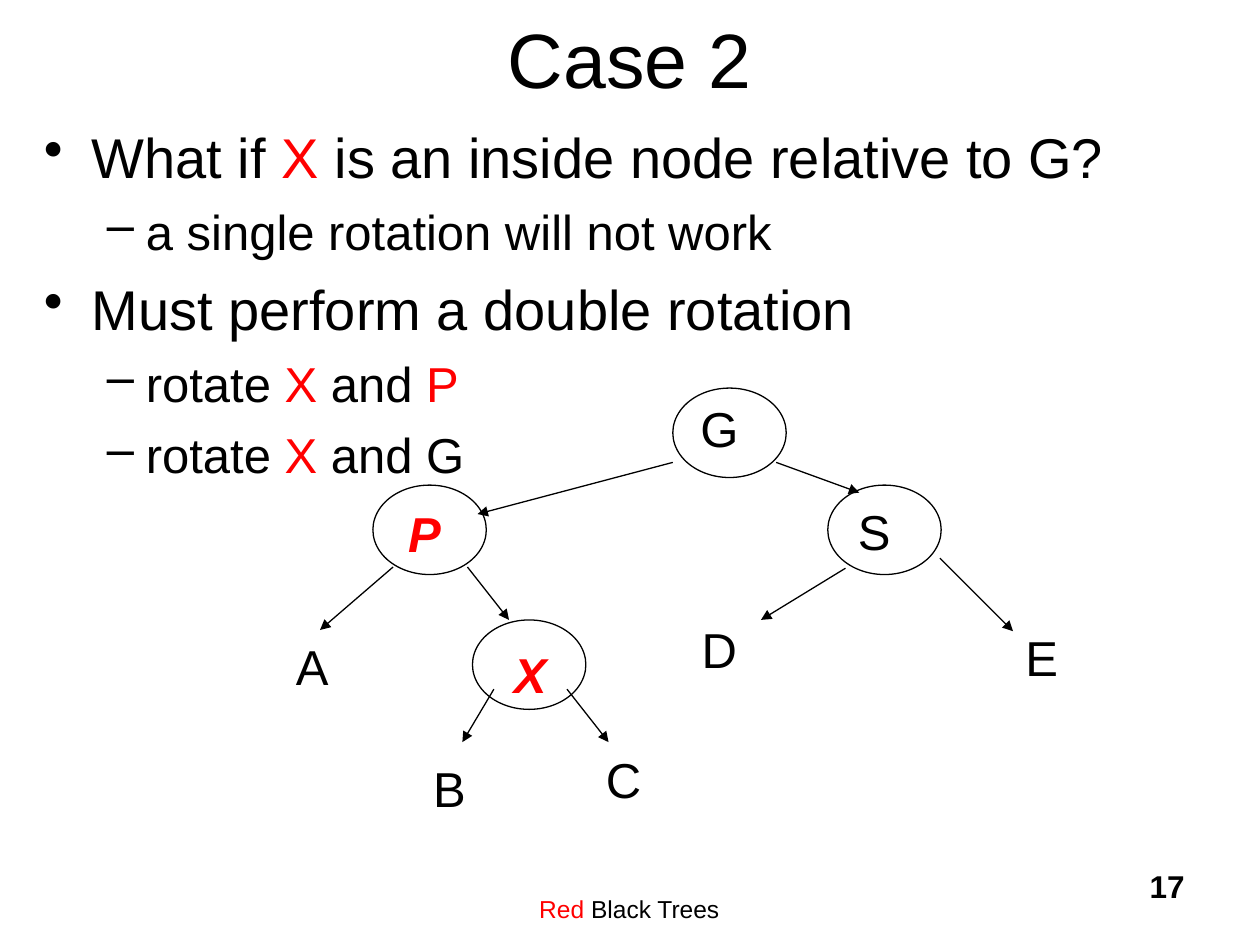
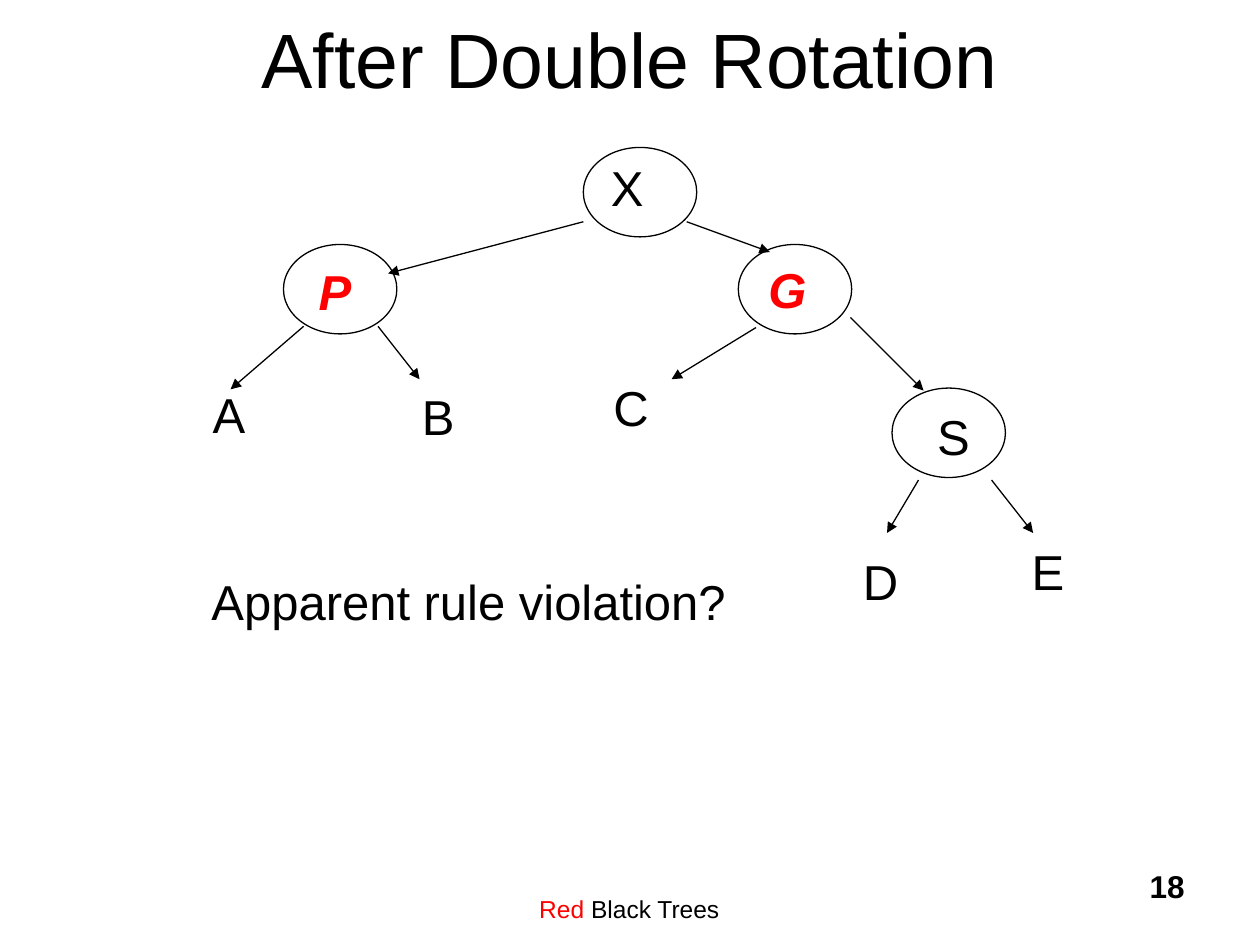
from lxml import etree
from pptx import Presentation
from pptx import util as u
from pptx.dml.color import RGBColor
from pptx.enum import shapes, text
from pptx.oxml.ns import qn

COLORS = {"black": "000000", "red": "FF0000", "white": "FFFFFF"}
FONT = "Arial"
NODE_W, NODE_H = 0.9, 0.71
LINE_W = 0.75
LETTER_W = {"G": 0.5, "C": 0.48, "D": 0.48}
LABEL_W, LABEL_H = 0.46, 0.57
LABEL_FMT = {"size": u.Pt(28)}
MARKED_FMT = {"size": u.Pt(28), "bold": True, "italic": True}
BULLETS = [
    {"char": "•", "left": 0.38, "hang": 0.38, "size": 32, "before": 8},
    {"char": "–", "left": 0.81, "hang": 0.31, "size": 28, "before": 7},
]
TOP_NODES = [(2.38, 0), (0, 0.77), (3.61, 0.77)]
TOP_EDGES = [
    (2.38, 0.59, 0.83, 1.0), (3.2, 0.59, 3.86, 0.83),
    (0.16, 1.42, -0.42, 1.92), (0.75, 1.42, 1.08, 1.84),
    (3.75, 1.43, 3.08, 1.84), (4.5, 1.35, 5.08, 1.93),
]
LOW_EDGES = [(0.17, 0.55, -0.08, 0.97), (0.75, 0.55, 1.08, 0.97)]


def rgb(name):
    """Return the named colour."""
    return RGBColor.from_string(COLORS[name])


def add_runs(p, parts, fmt):
    """Add (text, colour) runs to a paragraph with shared font values."""
    for words, color in parts:
        r = p.add_run()
        r.text = words
        r.font.name = FONT
        r.font.color.rgb = rgb(color)
        for key, value in fmt.items():
            setattr(r.font, key, value)


def add_text(s, box, parts, fmt, align=text.PP_ALIGN.LEFT, frame=None):
    """Add a one-paragraph text box."""
    tf = s.shapes.add_textbox(*map(u.Inches, box)).text_frame
    for key, value in {"word_wrap": True, **(frame or {})}.items():
        setattr(tf, key, value)
    tf.paragraphs[0].alignment = align
    add_runs(tf.paragraphs[0], parts, fmt)


def add_label(s, x, y, words, w, marked=False):
    """Add an unwrapped label, red and slanted when marked."""
    add_text(s, (x, y, w, LABEL_H), [(words, "red" if marked else "black")],
             MARKED_FMT if marked else LABEL_FMT,
             frame={"word_wrap": False, "auto_size": text.MSO_AUTO_SIZE.SHAPE_TO_FIT_TEXT})


def add_node(s, x, y):
    """Add an outlined tree node."""
    sp = s.shapes.add_shape(shapes.MSO_SHAPE.OVAL, *map(u.Inches, (x, y, NODE_W, NODE_H)))
    sp.shadow.inherit = False
    sp.fill.background()
    sp.line.color.rgb = rgb("black")
    sp.line.width = u.Pt(LINE_W)


def add_edges(s, x, y, edges):
    """Add arrows from parent to child, relative to a corner."""
    for x1, y1, x2, y2 in edges:
        ends = (x + x1, y + y1, x + x2, y + y2)
        c = s.shapes.add_connector(shapes.MSO_CONNECTOR.STRAIGHT, *map(u.Inches, ends))
        c.line.color.rgb = rgb("black")
        c.line.width = u.Pt(LINE_W)
        etree.SubElement(c.line._get_or_add_ln(), qn("a:tailEnd"), type="triangle")
        etree.SubElement(c._element.spPr, qn("a:effectLst"))


def add_tree(s, x, y, labels, marked, low, low_shift=(0, 0)):
    """Draw the tree from its corner, with a lower node and its edges."""
    for dx, dy in TOP_NODES + [low]:
        add_node(s, x + dx, y + dy)
    add_edges(s, x, y, TOP_EDGES)
    add_edges(s, x + low[0] + low_shift[0], y + low[1] + low_shift[1], LOW_EDGES)
    for name, (dx, dy) in labels.items():
        add_label(s, x + dx, y + dy, name, LETTER_W.get(name, LABEL_W), name in marked)


def add_bullets(s, box, items):
    """Add the two-level bullet list."""
    tf = s.shapes.add_textbox(*map(u.Inches, box)).text_frame
    tf.word_wrap = True
    for i, (level, parts) in enumerate(items):
        p = tf.add_paragraph() if i else tf.paragraphs[0]
        style = BULLETS[level]
        p.level = level
        if i:
            p.space_before = u.Pt(style["before"])
        ppr = p._p.get_or_add_pPr()
        ppr.set("marL", str(u.Inches(style["left"])))
        ppr.set("indent", str(-u.Inches(style["hang"])))
        clr = etree.SubElement(ppr, qn("a:buClr"))
        etree.SubElement(clr, qn("a:srgbClr"), val=COLORS["black"])
        etree.SubElement(ppr, qn("a:buChar"), char=style["char"])
        add_runs(p, parts, {"size": u.Pt(style["size"])})


def add_base(prs, title, number):
    """Add a slide with its title, footer and number."""
    s = prs.slides.add_slide(prs.slide_layouts[6])
    s.background.fill.solid()
    s.background.fill.fore_color.rgb = rgb("white")
    add_text(s, (3.08, 6.83, 3.83, 0.5), [("Red", "red"), (" Black Trees", "black")],
             {"size": u.Pt(14)}, text.PP_ALIGN.CENTER,
             {"vertical_anchor": text.MSO_ANCHOR.BOTTOM, "margin_bottom": 0})
    add_text(s, (7.42, 6.83, 2.08, 0.5), [(str(number), "black")],
             {"size": u.Pt(18), "bold": True}, text.PP_ALIGN.RIGHT)
    add_text(s, (0.75, -0.17, 8.5, 1.25), [(title, "black")], {"size": u.Pt(44)},
             text.PP_ALIGN.CENTER, {"vertical_anchor": text.MSO_ANCHOR.MIDDLE})
    return s


def build_case(prs):
    """Build the slide that states the inside-node case."""
    s = add_base(prs, "Case 2", 17)
    add_bullets(s, (0.25, 0.92, 9.5, 6), [
        (0, [("What if ", "black"), ("X", "red"),
             (" is an inside node relative to G?", "black")]),
        (1, [("a single rotation will not work", "black")]),
        (0, [("Must perform a double rotation", "black")]),
        (1, [("rotate ", "black"), ("X", "red"), (" and ", "black"), ("P", "red")]),
        (1, [("rotate ", "black"), ("X", "red"), (" and G", "black")]),
    ])
    labels = {"G": (2.5, 0.03), "P": (0.18, 0.87), "S": (3.75, 0.85),
              "A": (-0.71, 1.92), "X": (1.02, 1.99), "D": (2.51, 1.79),
              "E": (5.08, 1.85), "B": (0.38, 2.89), "C": (1.75, 2.82)}
    add_tree(s, 2.96, 3.08, labels, "PX", low=(0.79, 1.84))


def build_result(prs):
    """Build the slide that shows the rotated tree."""
    s = add_base(prs, "After Double Rotation", 18)
    labels = {"X": (2.5, 0.03), "P": (0.18, 0.86), "G": (3.75, 0.84),
              "A": (-0.66, 1.83), "B": (1.0, 1.85), "C": (2.52, 1.78),
              "S": (5.09, 2.01), "D": (4.5, 3.16), "E": (5.84, 3.08)}
    add_tree(s, 2.25, 1.17, labels, "PG", low=(4.83, 1.91), low_shift=(0.04, 0.18))
    add_label(s, 1.58, 4.49, "Apparent rule violation?", 4.28)


def main():
    """Build and save the slides."""
    prs = Presentation()
    prs.slide_width, prs.slide_height = u.Inches(10), u.Inches(7.5)
    build_case(prs)
    build_result(prs)
    prs.save("out.pptx")


if __name__ == "__main__":
    main()
